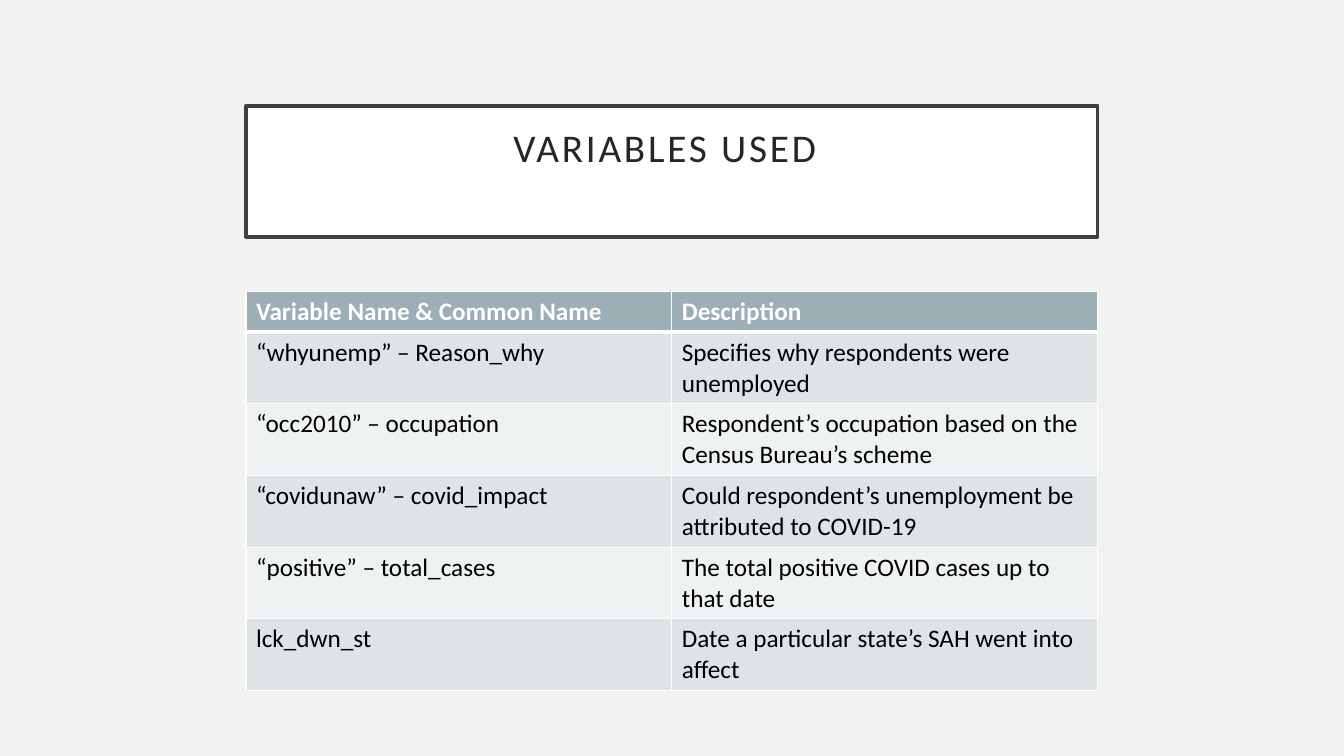
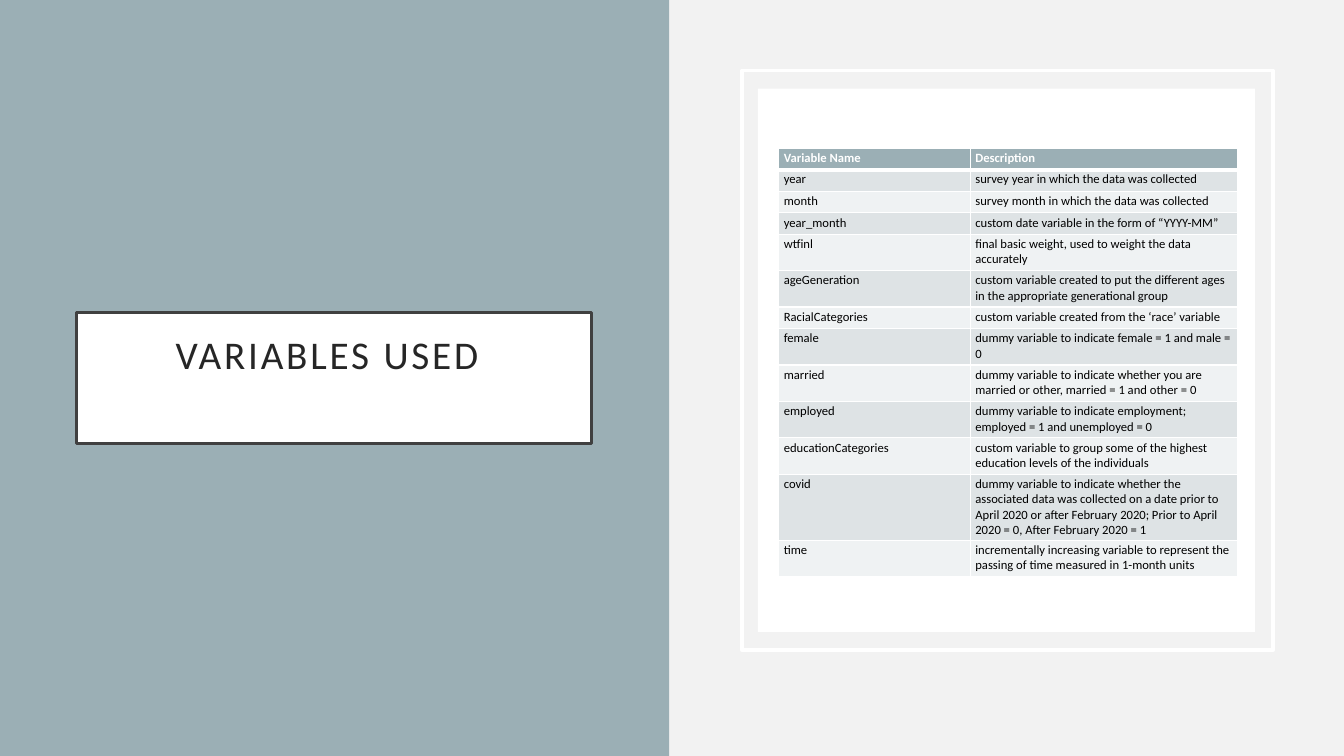
from lxml import etree
from pptx import Presentation
from pptx.dml.color import RGBColor
from pptx.enum.shapes import MSO_SHAPE
from pptx.enum.text import MSO_ANCHOR, PP_ALIGN
from pptx.oxml.ns import qn
from pptx.util import Pt

RECTANGLE = MSO_SHAPE.RECTANGLE
MIDDLE = MSO_ANCHOR.MIDDLE
LEFT, CENTER = PP_ALIGN.LEFT, PP_ALIGN.CENTER

FONT = "Calibri"
COLORS = {
    "page": "F2F2F2",
    "white": "FFFFFF",
    "accent": "9BAFB5",
    "frame": "404040",
    "title": "262626",
    "text": "000000",
    "odd row": "DEE3E5",
    "even row": "EFF2F3",
}

# Each variable: name, description, number of text lines in its row
MAIN_VARIABLES = [
    ("Variable Name & Common Name", "Description", 1),
    ("“whyunemp” – Reason_why", "Specifies why respondents were unemployed", 2),
    ("“occ2010” – occupation", "Respondent’s occupation based on the Census Bureau’s scheme", 2),
    ("“covidunaw” – covid_impact", "Could respondent’s unemployment be attributed to COVID-19", 2),
    ("“positive” – total_cases", "The total positive COVID cases up to that date", 2),
    ("lck_dwn_st", "Date a particular state’s SAH went into affect", 2),
]
OTHER_VARIABLES = [
    ("Variable Name", "Description", 1),
    ("year", "survey year in which the data was collected", 1),
    ("month", "survey month in which the data was collected", 1),
    ("year_month", "custom date variable in the form of “YYYY-MM”", 1),
    ("wtfinl", "final basic weight, used to weight the data accurately", 2),
    ("ageGeneration", "custom variable created to put the different ages "
     "in the appropriate generational group", 2),
    ("RacialCategories", "custom variable created from the ‘race’ variable", 1),
    ("female", "dummy variable to indicate female = 1 and male = 0", 2),
    ("married", "dummy variable to indicate whether you are married or other, "
     "married = 1 and other = 0", 2),
    ("employed", "dummy variable to indicate employment; "
     "employed = 1 and unemployed = 0", 2),
    ("educationCategories", "custom variable to group some of the highest "
     "education levels of the individuals", 2),
    ("covid", "dummy variable to indicate whether the associated data was collected "
     "on a date prior to April 2020 or after February 2020; "
     "Prior to April 2020 = 0, After February 2020 = 1", 4),
    ("time", "incrementally increasing variable to represent the passing of time "
     "measured in 1-month units", 2),
]

# Boxes are left, top, width, height, fill, line; the title box comes last
PAGES = [
    {
        "boxes": [(175.7, 75.6, 608.4, 93.6, "white", "frame")],
        "variables": MAIN_VARIABLES,
        "corner": (175.7, 208.1),
        "columns": (304.2, 304.2),
        "size": 18, "line height": 22, "row padding": 7.2,
        "side margin": 7.2, "top margin": 3.6,
    },
    {
        "boxes": [
            (0, 0, 478.1, 540, "accent", None),
            (529.9, 50.4, 379.4, 414, None, "white"),
            (541.4, 63.4, 355, 388, "white", None),
            (54.7, 223.2, 367.9, 93.6, "white", "frame"),
        ],
        "variables": OTHER_VARIABLES,
        "corner": (556.3, 105.8),
        "columns": (136.8, 190.8),
        "size": 9, "line height": 10.6, "row padding": 4.8,
        "side margin": 3.6, "top margin": 1.7,
    },
]


def write(frame, text, size, color, bold=False, align=LEFT, line_spacing=1.0, tracking=0):
    """Fill a text frame; tracking is the letter spacing in points."""
    para = frame.paragraphs[0]
    para.alignment = align
    para.line_spacing = line_spacing
    span = para.add_run()
    span.text = text
    span.font.name = FONT
    span.font.size = Pt(size)
    span.font.bold = bold
    span.font.color.rgb = RGBColor.from_string(COLORS[color])
    if tracking:
        span._r.get_or_add_rPr().set("spc", str(tracking * 100))


def set_borders(cell, top, bottom):
    """Draw white borders, 1 pt at the sides; call after the cell's fill is set."""
    properties = cell._tc.get_or_add_tcPr()
    widths = {"a:lnL": 1, "a:lnR": 1, "a:lnT": top, "a:lnB": bottom}
    for position, (tag, width) in enumerate(widths.items()):
        border = etree.Element(qn(tag), w=str(Pt(width)))
        fill = etree.SubElement(border, qn("a:solidFill"))
        etree.SubElement(fill, qn("a:srgbClr"), val=COLORS["white"])
        properties.insert(position, border)


deck = Presentation()
deck.slide_width, deck.slide_height = Pt(960), Pt(540)

for content in PAGES:
    page = deck.slides.add_slide(deck.slide_layouts[6])
    page.background.fill.solid()
    page.background.fill.fore_color.rgb = RGBColor.from_string(COLORS["page"])

    for left, top, width, height, fill, line in content["boxes"]:
        box = page.shapes.add_shape(RECTANGLE, Pt(left), Pt(top), Pt(width), Pt(height))
        box.shadow.inherit = False
        if fill:
            box.fill.solid()
            box.fill.fore_color.rgb = RGBColor.from_string(COLORS[fill])
        else:
            box.fill.background()
        if line:
            box.line.color.rgb = RGBColor.from_string(COLORS[line])
            box.line.width = Pt(2.5)
        else:
            box.line.fill.background()

    # The title sits above and slightly left of the middle of its box
    frame = box.text_frame
    frame.word_wrap = True
    frame.vertical_anchor = MIDDLE
    frame.margin_left = frame.margin_top = Pt(14.4)
    frame.margin_right, frame.margin_bottom = Pt(24.4), Pt(45.2)
    write(frame, "VARIABLES USED", 28, "title", align=CENTER, line_spacing=0.9, tracking=2)

    variables = content["variables"]
    heights = [lines * content["line height"] + content["row padding"]
               for _, _, lines in variables]
    left, top = content["corner"]
    table = page.shapes.add_table(
        len(variables), len(content["columns"]), Pt(left), Pt(top),
        Pt(sum(content["columns"])), Pt(sum(heights))).table
    table.horz_banding = False
    for column, width in zip(table.columns, content["columns"]):
        column.width = Pt(width)

    for number, (name, description, _) in enumerate(variables):
        table.rows[number].height = Pt(heights[number])
        is_header = number == 0
        if is_header:
            fill = "accent"
        else:
            fill = "odd row" if number % 2 else "even row"
        for cell, text in zip(table.rows[number].cells, (name, description)):
            cell.fill.solid()
            cell.fill.fore_color.rgb = RGBColor.from_string(COLORS[fill])
            cell.margin_left = cell.margin_right = Pt(content["side margin"])
            cell.margin_top = cell.margin_bottom = Pt(content["top margin"])
            set_borders(cell, top=3 if number == 1 else 1, bottom=3 if is_header else 1)
            write(cell.text_frame, text, content["size"],
                  "white" if is_header else "text", bold=is_header)

deck.save("out.pptx")
